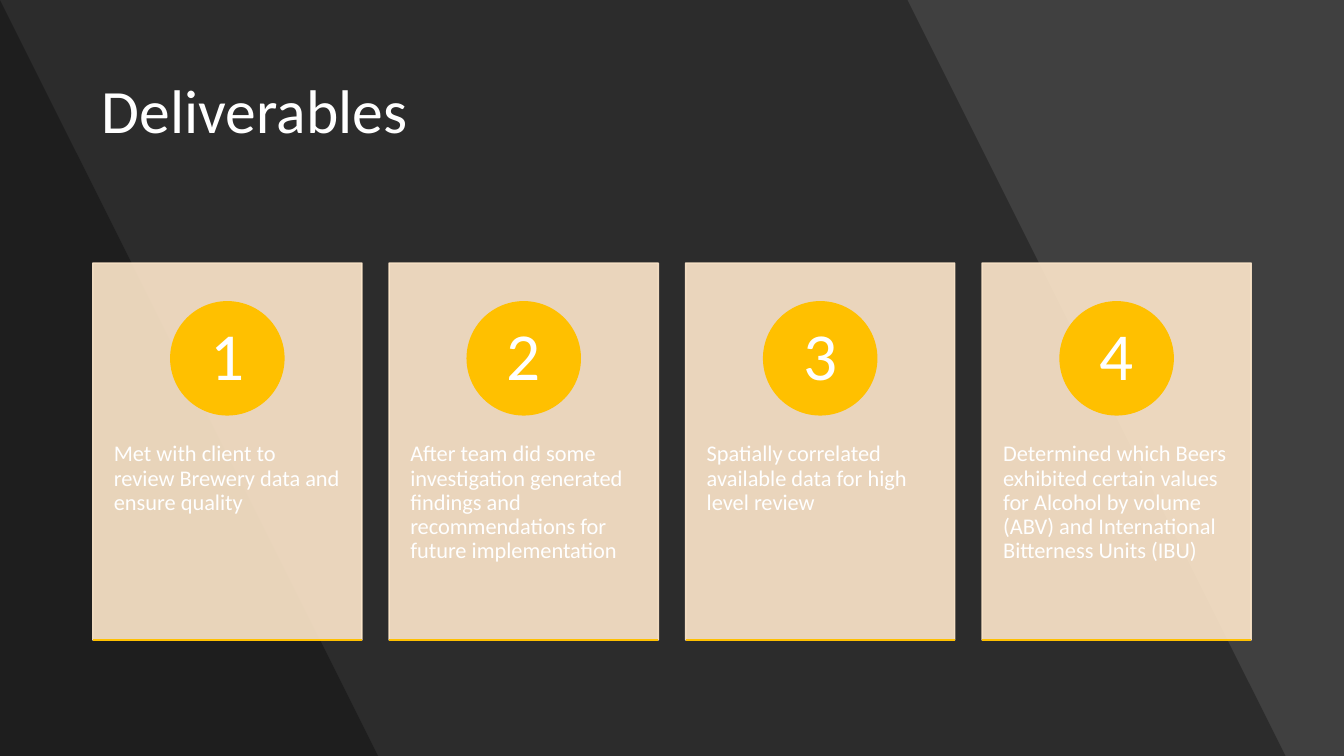
from lxml import etree
from pptx import Presentation
from pptx.dml.color import RGBColor
from pptx.enum.shapes import MSO_CONNECTOR, MSO_SHAPE
from pptx.enum.text import MSO_ANCHOR, PP_ALIGN
from pptx.oxml.ns import qn
from pptx.util import Inches, Pt

RECTANGLE, OVAL = MSO_SHAPE.RECTANGLE, MSO_SHAPE.OVAL
STRAIGHT = MSO_CONNECTOR.STRAIGHT
TOP, MIDDLE = MSO_ANCHOR.TOP, MSO_ANCHOR.MIDDLE
LEFT, CENTER = PP_ALIGN.LEFT, PP_ALIGN.CENTER

BLACK = RGBColor(0x00, 0x00, 0x00)
CHARCOAL = RGBColor(0x40, 0x40, 0x40)
CREAM = RGBColor(0xFF, 0xE8, 0xCC)
AMBER = RGBColor(0xFF, 0xC0, 0x00)
WHITE = RGBColor(0xFF, 0xFF, 0xFF)
FONT = "Calibri"

SLIDE_WIDTH, SLIDE_HEIGHT = 13.33, 7.5
DELIVERABLES = [
    "Met with client to review Brewery data and ensure quality",
    "After team did some investigation generated findings and "
    "recommendations for future implementation",
    "Spatially correlated available data for high level review",
    "Determined which Beers exhibited certain values for Alcohol by volume "
    "(ABV) and International Bitterness Units (IBU)",
]


def set_opacity(shape, percent):
    """Make every solid colour of the shape, fill and line, translucent."""
    for color in shape._element.spPr.iter(qn("a:srgbClr")):
        etree.SubElement(color, qn("a:alpha"), val=str(percent * 1000))


def paint(shape, color, outlined=True):
    shape.shadow.inherit = False
    shape.fill.solid()
    shape.fill.fore_color.rgb = color
    if outlined:
        shape.line.color.rgb = color
        shape.line.width = Pt(1)
    else:
        shape.line.fill.background()


def write(shape, text, size, align=LEFT, anchor=TOP, insets=(0.1, 0.05)):
    frame = shape.text_frame
    frame.word_wrap = True
    frame.vertical_anchor = anchor
    frame.margin_left = frame.margin_right = Inches(insets[0])
    frame.margin_top = frame.margin_bottom = Inches(insets[1])
    paragraph = frame.paragraphs[0]
    paragraph.alignment = align
    paragraph.line_spacing = 0.9
    run = paragraph.add_run()
    run.text = text
    run.font.name = FONT
    run.font.size = Pt(size)
    run.font.color.rgb = WHITE


def add_backdrop(slide):
    """Grey background darkened by two overlapping slanted panels."""
    slide.background.fill.solid()
    slide.background.fill.fore_color.rgb = CHARCOAL
    for top_edge, bottom_edge in ((9.42, 12.89), (0.44, 3.92)):
        builder = slide.shapes.build_freeform(0, 0, scale=Inches(1))
        builder.add_line_segments([
            (top_edge, 0), (bottom_edge, SLIDE_HEIGHT), (0, SLIDE_HEIGHT)])
        panel = builder.convert_to_shape()
        paint(panel, BLACK, outlined=False)
        set_opacity(panel, 30)


def add_title(slide, text, left, top, width, height):
    title = slide.shapes.add_textbox(
        Inches(left), Inches(top), Inches(width), Inches(height))
    write(title, text, 44, anchor=MIDDLE)


def add_card(slide, number, text, left, top, width, height):
    """Translucent card with a numbered badge, body text and a base line."""
    shapes = slide.shapes
    card = shapes.add_shape(
        RECTANGLE, Inches(left), Inches(top), Inches(width), Inches(height))
    paint(card, CREAM)
    set_opacity(card, 90)

    # Body text fills the lower 60 % of the card
    body = shapes.add_textbox(
        Inches(left), Inches(top + 0.38 * height),
        Inches(width), Inches(0.6 * height))
    write(body, text, 16, insets=(0.21, 0.36))

    # Badge is 30 % of the card height, centred across the card
    diameter = 0.3 * height
    badge = shapes.add_shape(
        OVAL, Inches(left + (width - diameter) / 2),
        Inches(top + 0.1 * height + 0.01), Inches(diameter), Inches(diameter))
    paint(badge, AMBER)
    write(badge, str(number), 48, CENTER, MIDDLE, (0.09, 0.01))

    # Base line
    bottom = Inches(top + height)
    base = shapes.add_connector(
        STRAIGHT, Inches(left), bottom, Inches(left + width), bottom)
    base.line.color.rgb = AMBER
    base.line.width = Pt(1)
    etree.SubElement(base._element.spPr, qn("a:effectLst"))


def add_card_row(slide, texts, left, top, width, height, gap):
    card_width = (width - gap * (len(texts) - 1)) / len(texts)
    for index, text in enumerate(texts):
        add_card(slide, index + 1, text, left + index * (card_width + gap),
                 top, card_width, height)


def main():
    presentation = Presentation()
    presentation.slide_width = Inches(SLIDE_WIDTH)
    presentation.slide_height = Inches(SLIDE_HEIGHT)
    slide = presentation.slides.add_slide(presentation.slide_layouts[6])
    add_backdrop(slide)
    add_title(slide, "Deliverables", 0.91, 0.4, 11.51, 1.45)
    add_card_row(slide, DELIVERABLES, 0.92, 2.61, 11.49, 3.74, gap=0.27)
    presentation.save("out.pptx")


if __name__ == "__main__":
    main()
